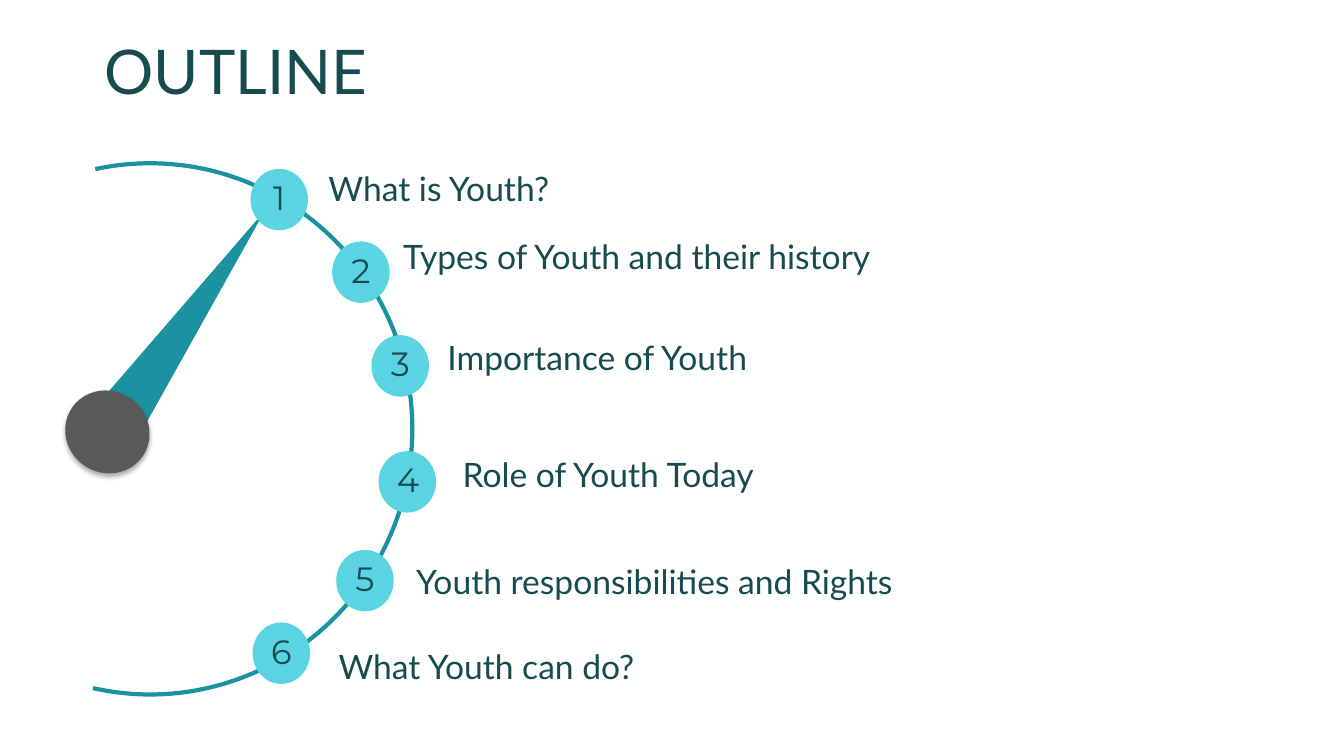
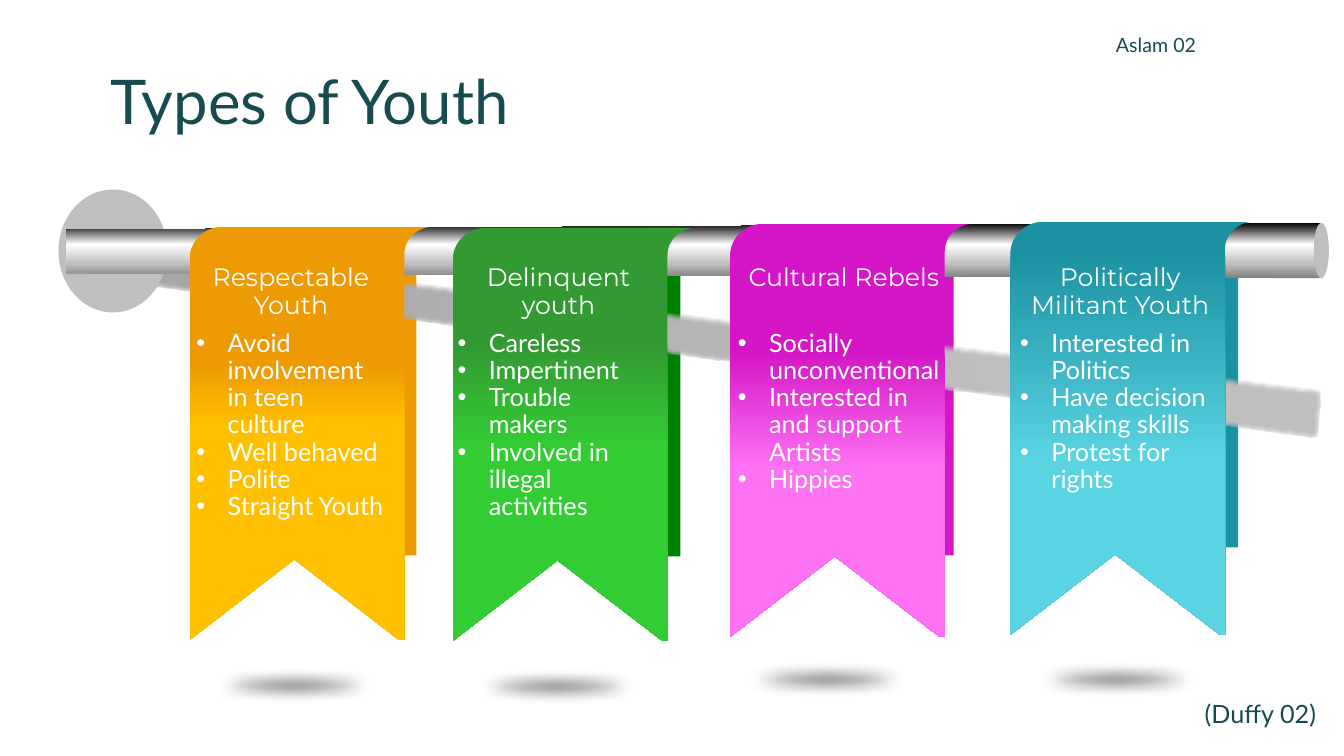
from math import cos, radians, sin

from lxml import etree
from pptx import Presentation
from pptx.dml.color import RGBColor
from pptx.enum.shapes import MSO_SHAPE as KIND
from pptx.enum.text import MSO_ANCHOR, PP_ALIGN
from pptx.oxml.ns import qn
from pptx.util import Inches, Pt


class Theme:
    ink, white = "164B4F", "FFFFFF"
    teal, aqua = "1B91A1", "5AD3E3"
    dark, gray, mid = "595959", "BFBFBF", "A6A6A6"
    body, head = "Lato", "Montserrat"
    title, label, item, note = 44, 24, 18, 14


# Number centre and label corner for each step on the dial
STEPS = [
    ("What is Youth?", (2.77, 1.98), (3.16, 1.66)),
    ("Types of Youth and their history", (3.58, 2.7), (3.9, 2.34)),
    ("Importance of Youth", (3.97, 3.63), (4.34, 3.34)),
    ("Role of Youth Today", (4.04, 4.78), (4.49, 4.5)),
    ("Youth responsibilities and Rights", (3.62, 5.76), (4.03, 5.56)),
    ("What Youth can do?", (2.79, 6.48), (3.26, 6.4)),
]

# at: ribbon corner; back: corner of the fold; spot: corner of the floor shadow
# head, body: left and width of the two texts; stops: ribbon gradient
BANNERS = [
    dict(name="Respectable Youth", at=(1.88, 2.25), back=(2.6, 2.33),
         spot=(1.66, 6.62), head=(1.85, 2.07), body=(1.85, 2.07),
         fold="EE9A04", stops=[(33, "EE9A04"), (49, "FFC000")],
         items=["Avoid involvement in teen culture", "Well behaved",
                "Polite", "Straight Youth"]),
    dict(name="Delinquent youth", at=(4.49, 2.26), back=(5.22, 2.34),
         spot=(4.27, 6.63), head=(4.47, 2.14), body=(4.44, 2.12),
         fold="008000", stops=[(28, "339933"), (53, "33CC33")],
         items=["Careless", "Impertinent", "Trouble makers",
                "Involved in illegal activities"]),
    dict(name="Cultural Rebels", at=(7.24, 2.22), back=(7.93, 2.33),
         spot=(6.95, 6.56), head=(7.31, 2.12), body=(7.22, 2.27),
         fold="D416C6", stops=[(31, "D416C6"), (59, "FD71F3")],
         items=["Socially unconventional",
                "Interested in and support Artists", "Hippies"]),
    dict(name="Politically Militant Youth", at=(10.02, 2.2), back=(10.75, 2.25),
         spot=(9.82, 6.56), head=(10.02, 2.18), body=(10.02, 2.18),
         fold=Theme.teal, stops=[(7, Theme.teal), (58, Theme.aqua)],
         items=["Interested in Politics", "Have decision making skills",
                "Protest for rights"]),
]

ROD = [(0.66, 2.28), (13.1, 2.21), (13.1, 2.76), (0.66, 2.71)]
SHADE = [(1.45, 2.5), (13.1, 3.86), (13.06, 4.34), (1.45, 2.84)]


def rgb(code):
    return RGBColor.from_string(code)


def node(parent, tag, **attrs):
    return etree.SubElement(parent, qn("a:" + tag),
                            {k: str(v) for k, v in attrs.items()})


def paint(shape, fill=None):
    """Clear line and shadow, then fill with a colour if there is one."""
    shape.shadow.inherit = False
    shape.line.fill.background()
    if fill:
        shape.fill.solid()
        shape.fill.fore_color.rgb = rgb(fill)
    return shape


def blend(shape, stops, angle=270, round_=False):
    shape.fill.gradient()
    if not round_:
        shape.fill.gradient_angle = angle
    grad = shape._element.spPr.find(qn("a:gradFill"))
    group = grad.find(qn("a:gsLst"))
    for old in list(group):
        group.remove(old)
    for pos, code in stops:
        node(node(group, "gs", pos=pos * 1000), "srgbClr", val=code)
    if round_:
        grad.remove(grad.find(qn("a:lin")))
        ring = node(grad, "path", path="circle")
        node(ring, "fillToRect", l=50000, t=50000, r=50000, b=50000)


def effect(shape, tag, **attrs):
    return node(shape._element.spPr.find(qn("a:effectLst")), tag, **attrs)


def add(slide, kind, x, y, w, h, fill=None):
    box = map(Inches, (x, y, w, h))
    return paint(slide.shapes.add_shape(kind, *box), fill)


def trace(slide, points):
    pts = [(Inches(x), Inches(y)) for x, y in points]
    pen = slide.shapes.build_freeform(*pts[0], scale=1.0)
    pen.add_line_segments(pts[1:], close=True)
    return paint(pen.convert_to_shape())


def write(shape, lines, size, font=Theme.body, color=Theme.ink,
          align=PP_ALIGN.LEFT, anchor=MSO_ANCHOR.TOP, bullet=False):
    frame = shape.text_frame
    frame.word_wrap, frame.vertical_anchor = True, anchor
    frame.text = "\n".join(lines)
    for para in frame.paragraphs:
        para.alignment, para.line_spacing = align, 0.9
        look = dict(size=Pt(size), name=font)
        for key, val in look.items():
            setattr(para.runs[0].font, key, val)
        para.runs[0].font.color.rgb = rgb(color)
        if bullet:
            props = para._p.get_or_add_pPr()
            dent = Inches(0.31)
            props.set("marL", str(dent))
            props.set("indent", str(-dent))
            node(props, "buFont", typeface="Arial")
            node(props, "buChar", char="•")


def label(slide, box, lines, size, **look):
    write(slide.shapes.add_textbox(*map(Inches, box)), lines, size, **look)


def page(deck):
    return deck.slides.add_slide(deck.slide_layouts[6])


def title(slide, text, x, y, w, h):
    label(slide, (x, y, w, h), [text], Theme.title, anchor=MSO_ANCHOR.BOTTOM)


def bend(cx, cy, rx, ry, start, end, parts=12):
    """Points along part of an ellipse, angles in degrees."""
    turns = [radians(start + (end - start) * i / parts) for i in range(parts + 1)]
    return [(cx + rx * cos(t), cy + ry * sin(t)) for t in turns]


def ribbon(x, y):
    edge = (bend(2.42, 0.27, 0.29, 0.27, -90, -180)
            + [(2.13, 4.1), (2.08, 4.1), (1.04, 3.3), (0, 4.1)]
            + bend(0.33, 0.32, 0.33, 0.32, 180, 270))
    return [(x + dx, y + dy) for dx, dy in edge]


def outline(deck):
    slide = page(deck)
    title(slide, "OUTLINE", 0.94, -0.1, 10.67, 1.22)
    add(slide, KIND.ISOSCELES_TRIANGLE, 1.56, 1.84, 0.56, 2.75,
        Theme.teal).rotation = 35
    hub = add(slide, KIND.FLOWCHART_CONNECTOR, 0.64, 3.88, 0.85, 0.81, Theme.dark)
    hub.rotation = 35
    drop = effect(hub, "outerShdw", blurRad=Pt(3.5), dist=Pt(2.2),
                  dir=5400000, rotWithShape=0)
    node(node(drop, "srgbClr", val="000000"), "alpha", val=32000)

    dial = add(slide, KIND.ARC, -1.11, 1.62, 5.2, 5.27)
    dial.adjustments[0], dial.adjustments[1] = 154.84, 61.47
    dial.fill.background()
    dial.line.color.rgb = rgb(Theme.teal)
    dial.line.width = Pt(3)

    w, h = 0.57, 0.61
    for num, (text, (cx, cy), (x, y)) in enumerate(STEPS, 1):
        label(slide, (x, y, 6, 0.46), [text], Theme.label)
        dot = add(slide, KIND.FLOWCHART_CONNECTOR, cx - w / 2, cy - h / 2, w, h,
                  Theme.aqua)
        write(dot, [str(num)], Theme.label, font=Theme.head,
              align=PP_ALIGN.CENTER, anchor=MSO_ANCHOR.MIDDLE)


def types(deck):
    slide = page(deck)
    for ban in BANNERS:
        add(slide, KIND.RECTANGLE, *ban["back"], 1.53, 3.18, ban["fold"])
    shade = trace(slide, SHADE)
    blend(shade, [(0, Theme.mid), (75, Theme.gray)], angle=0)
    effect(shade, "softEdge", rad=Pt(2))

    title(slide, "Types of Youth", 1, 0.42, 10.92, 1)
    add(slide, KIND.OVAL, 0.58, 1.88, 1.08, 1.22, Theme.gray)
    blend(trace(slide, ROD), [(0, "000000"), (39, Theme.white),
                              (74, Theme.gray), (100, "808080")])
    add(slide, KIND.OVAL, 13.03, 2.21, 0.15, 0.55, Theme.gray)

    for ban in BANNERS:
        spot = add(slide, KIND.OVAL, *ban["spot"], 2.51, 0.36)
        blend(spot, [(50, Theme.dark), (100, Theme.gray)], round_=True)
        effect(spot, "softEdge", rad=Pt(10))
        blend(trace(slide, ribbon(*ban["at"])), ban["stops"])
        x, w = ban["head"]
        label(slide, (x, 2.58, w, 0.65), [ban["name"]], Theme.item,
              font=Theme.head, color=Theme.white, align=PP_ALIGN.CENTER)
        x, w = ban["body"]
        label(slide, (x, 3.23, w, 2.1), ban["items"], Theme.item,
              color=Theme.white, bullet=True)
    label(slide, (11.85, 6.91, 1.45, 0.37), ["(Duffy 02)"], Theme.item)
    label(slide, (10.97, 0.3, 2.33, 0.31), ["Aslam 02"], Theme.note)


def main():
    deck = Presentation()
    deck.slide_width, deck.slide_height = Inches(13.33), Inches(7.5)
    outline(deck)
    types(deck)
    deck.save("out.pptx")


if __name__ == "__main__":
    main()
